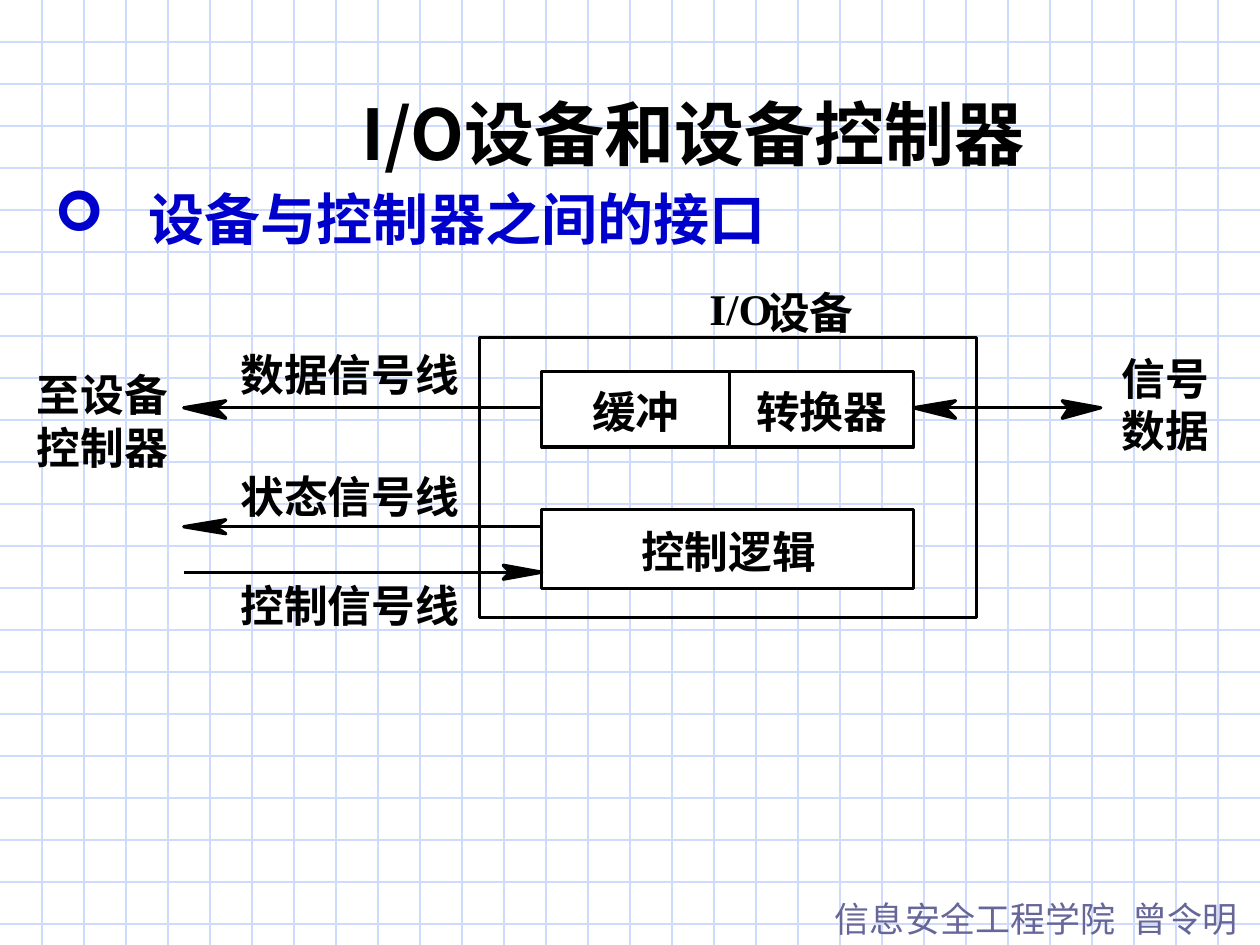
from lxml.etree import SubElement
from pptx import Presentation
from pptx.dml.color import RGBColor
from pptx.enum.shapes import MSO_CONNECTOR, MSO_SHAPE
from pptx.enum.text import MSO_ANCHOR, PP_ALIGN
from pptx.oxml.ns import qn
from pptx.util import Pt

COLORS = {
    "grid": "CFDBFD",
    "ink": "000000",
    "paper": "FFFFFF",
    "heading": "0000CC",
    "footer": "666699",
}
SANS = "Noto Sans CJK SC"
SANS_JP = "Noto Sans CJK JP"
SERIF = "Times New Roman"
WIDTH, HEIGHT, GRID = 720, 540, 24


def rgb(name):
    return RGBColor.from_string(COLORS[name])


def write(p, text, size=25, font=SANS, ea=None, color="ink", bold=True):
    """Add one formatted run to a paragraph."""
    r = p.add_run()
    r.text = text
    r.font.size = Pt(size)
    r.font.bold = bold
    r.font.name = font
    r.font.color.rgb = rgb(color)
    SubElement(r._r.get_or_add_rPr(), qn("a:ea"), typeface=ea or font)


class Diagram:
    def __init__(self, slide, line_width=1.87):
        self.slide = slide
        self.line_width = line_width

    def line(self, x1, y1, x2, y2, color="ink", width=None):
        sp = self.slide.shapes.add_connector(
            MSO_CONNECTOR.STRAIGHT, Pt(x1), Pt(y1), Pt(x2), Pt(y2))
        sp.line.color.rgb = rgb(color)
        sp.line.width = Pt(width or self.line_width)
        SubElement(sp._element.spPr, qn("a:effectLst"))

    def outline(self, sp, fill):
        sp.shadow.inherit = False
        if fill:
            sp.fill.solid()
            sp.fill.fore_color.rgb = rgb(fill)
        else:
            sp.fill.background()
        sp.line.color.rgb = rgb("ink")
        sp.line.width = Pt(self.line_width)

    def box(self, x, y, w, h, fill="paper"):
        sp = self.slide.shapes.add_shape(
            MSO_SHAPE.RECTANGLE, Pt(x), Pt(y), Pt(w), Pt(h))
        self.outline(sp, fill)

    def head(self, tip, y, back, notch, below=4):
        """Notched arrowhead; back and notch are the x of its rear points."""
        outline = [(back, y - 4), (notch, y), (back, y + below), (tip, y)]
        points = [(Pt(px), Pt(py)) for px, py in outline]
        fb = self.slide.shapes.build_freeform(*points[0])
        fb.add_line_segments(points[1:], close=True)
        self.outline(fb.convert_to_shape(), "ink")

    def text(self, x, y, w, h, text, inset=(0, 0), wrap=False,
             align=PP_ALIGN.LEFT, anchor=MSO_ANCHOR.MIDDLE, **fmt):
        sp = self.slide.shapes.add_textbox(Pt(x), Pt(y), Pt(w), Pt(h))
        tf = sp.text_frame
        tf.word_wrap = wrap
        tf.vertical_anchor = anchor
        tf.margin_left = tf.margin_right = Pt(inset[0])
        tf.margin_top = tf.margin_bottom = Pt(inset[1])
        p = tf.paragraphs[0]
        p.alignment = align
        write(p, text, **fmt)
        return p

    def label(self, x, y, text, **fmt):
        self.text(x, y, 25 * len(text), 30, text, **fmt)


def main():
    prs = Presentation()
    prs.slide_width, prs.slide_height = Pt(WIDTH), Pt(HEIGHT)
    s = prs.slides.add_slide(prs.slide_layouts[6])
    d = Diagram(s)
    padded = dict(inset=(7.2, 3.6), wrap=True)

    # Background grid
    for y in range(GRID, HEIGHT, GRID):
        d.line(0, y, WIDTH, y, "grid", 0.75)
    for x in range(GRID, WIDTH, GRID):
        d.line(x, 0, x, HEIGHT, "grid", 0.75)

    # Footer, with the name at a tab stop
    p = d.text(470, 509, 250, 31.7, "信息安全工程学院\t曾令明", size=20,
               font=SANS_JP, color="footer", bold=False, **padded)
    tabs = SubElement(p._p.get_or_add_pPr(), qn("a:tabLst"))
    SubElement(tabs, qn("a:tab"), pos=str(Pt(170)), algn="l")

    # Title and heading
    d.text(102, 48, 588, 55.4, "I/O设备和设备控制器", size=40, font=SANS_JP,
           align=PP_ALIGN.CENTER, **padded)
    p = d.text(24, 102, 666, 396, "设备与控制器之间的接口", size=32, font=SERIF,
               ea=SANS, color="heading", align=PP_ALIGN.JUSTIFY,
               anchor=MSO_ANCHOR.TOP, **padded)
    pPr = p._p.get_or_add_pPr()
    pPr.set("marL", str(Pt(54)))
    pPr.set("indent", str(Pt(-54)))
    clr = SubElement(pPr, qn("a:buClr"))
    SubElement(clr, qn("a:srgbClr"), val=COLORS["heading"])
    SubElement(pPr, qn("a:buFont"), typeface="Wingdings", charset="2")
    SubElement(pPr, qn("a:buChar"), char="➢")

    # Device frame and its parts
    left, middle, right = 309.6, 416.8, 522
    d.box(left, 212.4, middle - left, 43)
    d.box(middle, 212.4, right - middle, 43)
    d.box(left, 291, right - left, 45.4)
    d.box(274.2, 193, 283.8, 160, fill=None)

    # Signal lines
    end, data_y, status_y, control_y = 105, 233, 301, 327
    d.line(right, data_y, 629, data_y)
    d.head(629, data_y, 607, 611, below=6)
    d.head(right, data_y, right + 24, right + 18, below=6)
    for y, below in ((data_y, 6), (status_y, 4)):
        d.line(end + 10, y, left, y)
        d.head(end, y, end + 24, end + 18, below)
    d.line(end, control_y, left, control_y)
    d.head(left, control_y, left - 22, left - 18)

    # Labels
    for x, y, text in (
        (338.4, 219.6, "缓冲"), (432, 219.6, "转换器"), (366.5, 300, "控制逻辑"),
        (640.8, 201, "信号"), (640.8, 231, "数据"),
        (137.5, 198.7, "数据信号线"), (137.5, 268.6, "状态信号线"),
        (137.5, 330.5, "控制信号线"),
        (21, 210.2, "至设备"), (21, 240.5, "控制器"), (437.8, 163.4, "设备"),
    ):
        d.label(x, y, text)
    d.text(405.4, 161.3, 45, 30, "I/O", font=SERIF)

    prs.save("out.pptx")


if __name__ == "__main__":
    main()
